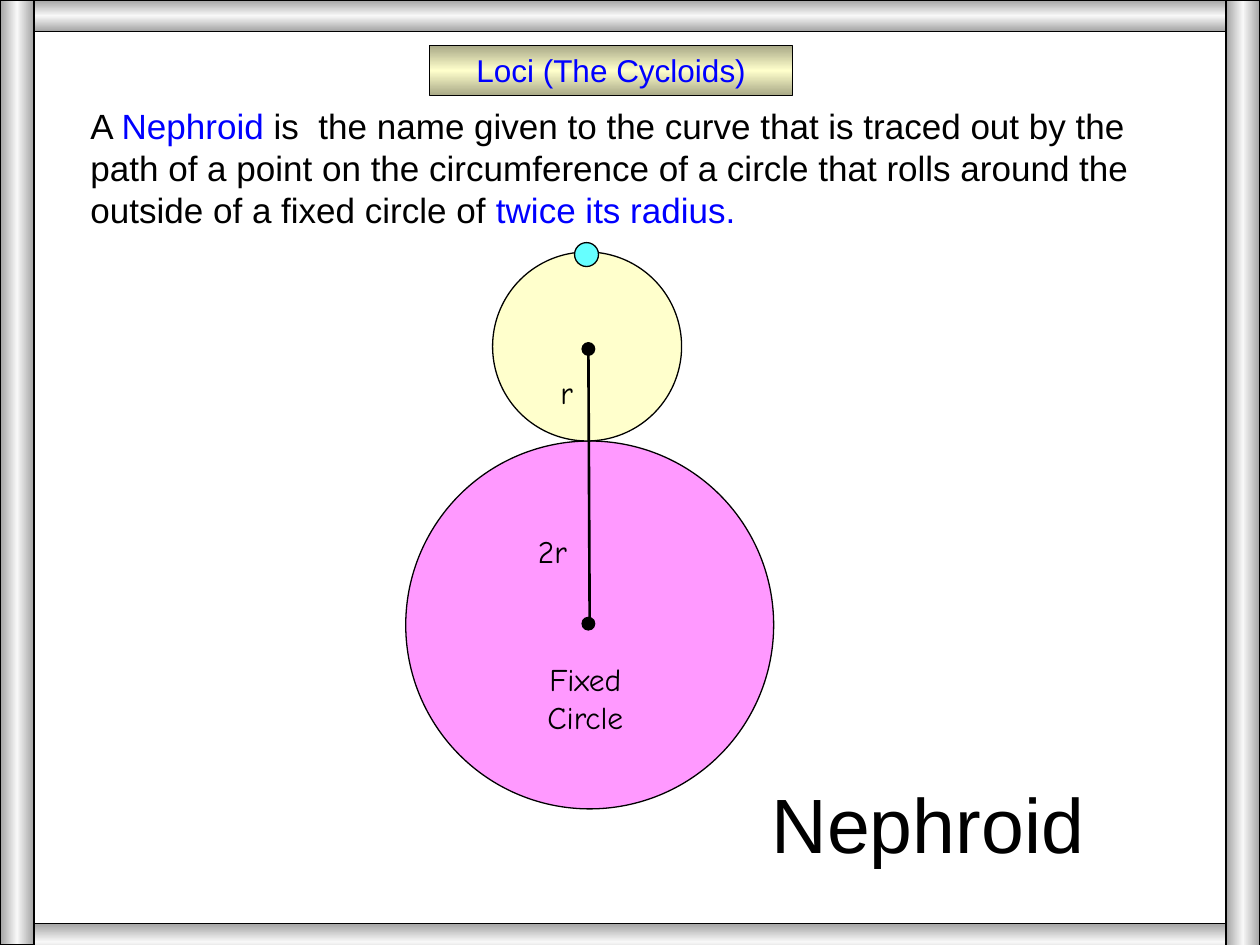
import copy
from dataclasses import dataclass

import pptx
import pptx.dml.color
import pptx.enum.shapes
import pptx.enum.text
import pptx.oxml.ns
import pptx.util
from lxml import etree

SHAPE = pptx.enum.shapes.MSO_SHAPE
ALIGN = pptx.enum.text.PP_ALIGN
ANCHOR = pptx.enum.text.MSO_ANCHOR
FIT = pptx.enum.text.MSO_AUTO_SIZE


@dataclass(frozen=True)
class Theme:
    black: str = "000000"
    blue: str = "0000FF"
    pink: str = "FF99FF"
    cream: str = "FFFFCC"
    cyan: str = "66FFFF"
    metal: tuple = ("A3A3A3", "F8F8F8", "A3A3A3")
    gold: tuple = ("A8A886", "FFFFCC", "A8A886")
    font: str = "Arial"
    label_font: str = "Comic Neue"
    title_size: int = 44
    body_size: int = 20
    label_size: int = 18
    outline: float = 0.75
    radius_line: float = 1.5


class Board:
    """Current slide, measured on a grid of 100 columns by 75 rows."""

    def __init__(self, prs, theme):
        self.t = theme
        self.slide = prs.slides.add_slide(prs.slide_layouts[5])
        self.col = prs.slide_width / 100
        self.row = prs.slide_height / 75

    def place(self, x, y, w, h):
        return (round(x * self.col), round(y * self.row),
                round(w * self.col), round(h * self.row))

    def add_runs(self, sp, runs, size, font, align, anchor=ANCHOR.TOP, fit=FIT.NONE):
        tf = sp.text_frame
        tf.word_wrap = True
        tf.auto_size = fit
        tf.vertical_anchor = anchor
        p = tf.paragraphs[0]
        p.alignment = align
        for text, color in runs:
            r = p.add_run()
            r.text = text
            r.font.name = font
            r.font.size = pptx.util.Pt(size)
            r.font.color.rgb = pptx.dml.color.RGBColor.from_string(color)

    def title(self, text, box):
        sp = self.slide.shapes.title
        sp.left, sp.top, sp.width, sp.height = self.place(*box)
        self.add_runs(sp, [(text, self.t.black)], self.t.title_size, self.t.font,
                      ALIGN.CENTER, ANCHOR.MIDDLE)

    def text(self, runs, box, size, font, align=ALIGN.LEFT):
        sp = self.slide.shapes.add_textbox(*self.place(*box))
        self.add_runs(sp, runs, size, font, align, fit=FIT.SHAPE_TO_FIT_TEXT)

    def label(self, text, box, align=ALIGN.LEFT):
        self.text([(text, self.t.black)], box, self.t.label_size,
                  self.t.label_font, align)

    def shape(self, kind, box):
        sp = self.slide.shapes.add_shape(kind, *self.place(*box))
        sp.shadow.inherit = False
        sp.line.color.rgb = pptx.dml.color.RGBColor.from_string(self.t.black)
        sp.line.width = pptx.util.Pt(self.t.outline)
        return sp

    def disc(self, center, radius, color):
        x, y = center
        sp = self.shape(SHAPE.OVAL, (x - radius, y - radius, 2 * radius, 2 * radius))
        sp.fill.solid()
        sp.fill.fore_color.rgb = pptx.dml.color.RGBColor.from_string(color)

    def bar(self, box, colors, angle):
        sp = self.shape(SHAPE.RECTANGLE, box)
        sp.fill.gradient()
        sp.fill.gradient_angle = angle
        # A new gradient has two stops; add the third
        stops = sp._element.spPr.find(".//" + pptx.oxml.ns.qn("a:gsLst"))
        stops.append(copy.deepcopy(stops[0]))
        for stop, color, position in zip(sp.fill.gradient_stops, colors, (0, 0.5, 1)):
            stop.color.rgb = pptx.dml.color.RGBColor.from_string(color)
            stop.position = position
        return sp

    def line(self, start, end):
        x1, y1, x2, y2 = self.place(*start, *end)
        c = self.slide.shapes.add_connector(
            pptx.enum.shapes.MSO_CONNECTOR.STRAIGHT, x1, y1, x2, y2)
        c.line.color.rgb = pptx.dml.color.RGBColor.from_string(self.t.black)
        c.line.width = pptx.util.Pt(self.t.radius_line)
        etree.SubElement(c._element.spPr, pptx.oxml.ns.qn("a:effectLst"))


def main():
    prs = pptx.Presentation()
    prs.slide_width = pptx.util.Inches(10)
    prs.slide_height = pptx.util.Inches(7.5)
    t = Theme()
    b = Board(prs, t)

    b.title("Nephroid", (57.1, 60.3, 33.1, 10))

    # Fixed circle, rolling circle and traced point
    b.disc((46.8, 49.6), 14.6, t.pink)
    b.disc((46.6, 27.5), 7.5, t.cream)
    b.disc((46.55, 20.2), 0.95, t.cyan)

    # Radii between the two centres
    b.line((46.7, 27.6), (46.8, 49.5))
    for y in (27.7, 49.5):
        b.disc((46.7, y), 0.5, t.black)
    b.label("2r", (41.7, 41.7, 6.6, 4))
    b.label("r", (43.5, 29.1, 6.6, 4))
    b.label("Fixed Circle", (39.7, 51.9, 13.5, 7), ALIGN.CENTER)

    # Definition
    b.text([
        ("A ", t.black),
        ("Nephroid", t.blue),
        (" is  the name given to the curve that is traced out by the path of a "
         "point on the circumference of a circle that rolls around the outside "
         "of a fixed circle of ", t.black),
        ("twice its radius.", t.blue),
    ], (6.2, 7.8, 88.3, 11), t.body_size, t.font)

    # Metal frame: top, bottom, left, right
    for box, angle in (((0, 0, 100, 2.5), 90), ((0, 73.3, 100, 2.9), 90),
                       ((0, 0, 2.7, 75), 0), ((97.3, 0, 2.7, 76.2), 0)):
        b.bar(box, t.metal, angle)

    # Topic banner
    banner = b.bar((34.1, 3.6, 28.8, 4), t.gold, 90)
    b.add_runs(banner, [("Loci (The Cycloids)", t.blue)], t.label_size, t.font,
               ALIGN.CENTER, fit=FIT.SHAPE_TO_FIT_TEXT)

    prs.save("out.pptx")


if __name__ == "__main__":
    main()
